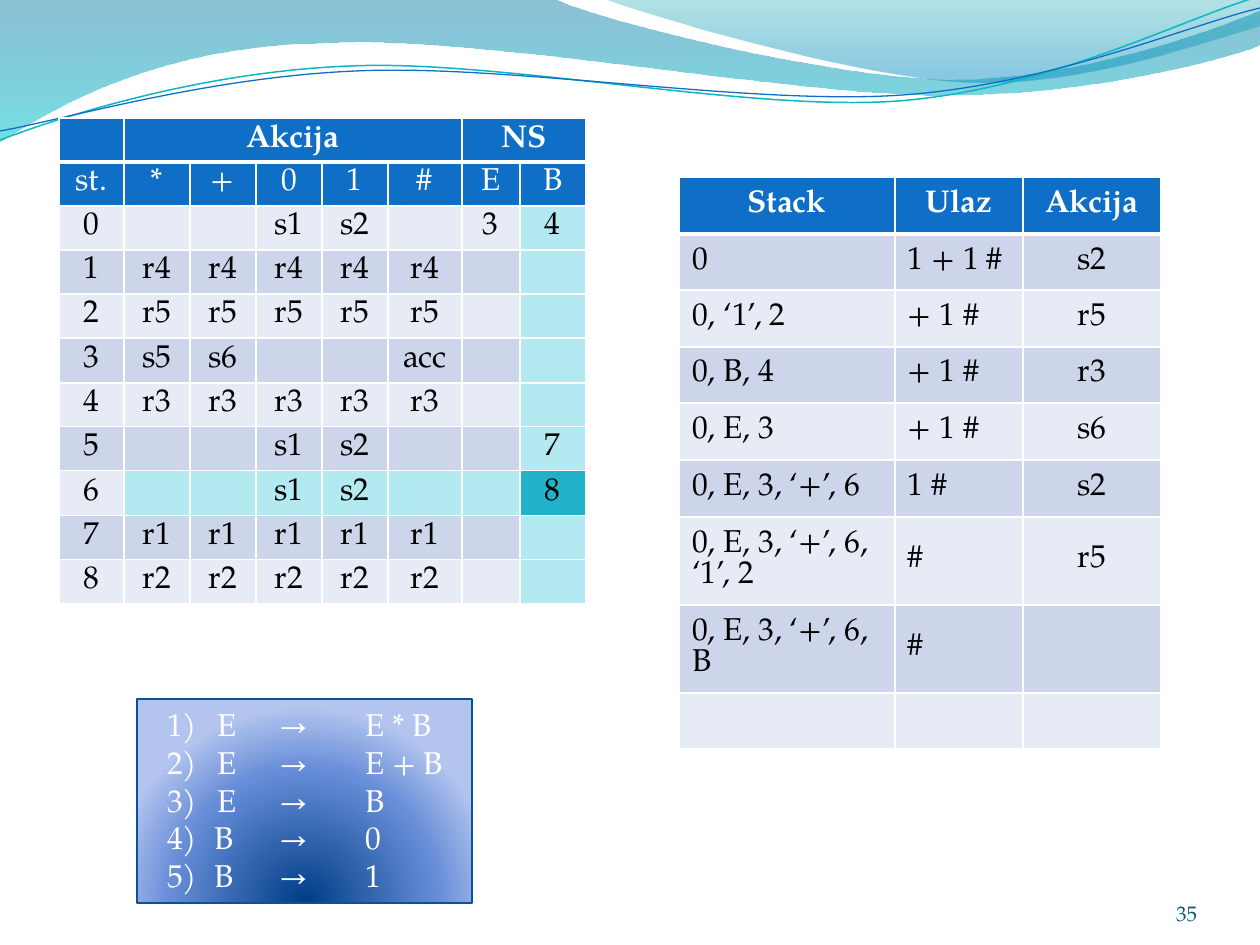
from lxml import etree
from pptx import Presentation
from pptx.dml.color import RGBColor
from pptx.enum.shapes import MSO_SHAPE
from pptx.enum.text import MSO_ANCHOR, PP_ALIGN
from pptx.oxml import parse_xml
from pptx.oxml.ns import nsdecls, qn
from pptx.util import Pt

PX = 7257.14  # EMU in one px: 126 px to the inch
FONT = "TeX Gyre Pagella"
WHITE, BLACK = RGBColor(255, 255, 255), RGBColor(0, 0, 0)
BLUE = RGBColor(0x0F, 0x6F, 0xC6)
TEAL = RGBColor(0x0A, 0xB8, 0xBF)
OUTLINE = RGBColor(0x09, 0x52, 0x95)
NUMBER = RGBColor(0x04, 0x5D, 0x75)
LIGHT, DARK = RGBColor(0xE7, 0xEB, 0xF5), RGBColor(0xCC, 0xD5, 0xEA)
MARK, TARGET = RGBColor(0xB3, 0xEA, 0xF2), RGBColor(0x21, 0xB2, 0xC9)
LEFT, CENTER, RIGHT = PP_ALIGN.LEFT, PP_ALIGN.CENTER, PP_ALIGN.RIGHT

# Outlines: a start point, then lines (one point) and curves (three points)
UPPER_WAVE = [[(0, 0)], [(554, -1)], [(600, 21), (837, 79), (955, 79)],
              [(1075, 79), (1207, 33), (1260, 11)], [(1261, 45)],
              [(1239, 55), (1096, 96), (940, 95)], [(784, 95), (481, 35), (324, 43)],
              [(163, 45), (58, 105), (-1, 142)]]
RIGHT_WAVE = [[(604, -1)], [(641, 14), (859, 78), (969, 82)],
              [(1079, 87), (1211, 40), (1260, 26)], [(1260, 0)]]
TEAL_LINE = [[(0, 140)], [(60, 117), (199, 72), (349, 66)],
             [(498, 59), (747, 112), (898, 101)], [(1050, 89), (1182, 19), (1257, -3)]]
BLUE_LINE = [[(0, 131)], [(59, 121), (207, 77), (357, 71)],
             [(508, 64), (752, 106), (903, 95)], [(1053, 84), (1186, 26), (1260, 8)]]
DOWN = '<a:lin ang="5400000" scaled="0"/>'
FROM_BELOW = ('<a:path path="circle"><a:fillToRect l="50000" t="130000" '
              'r="50000" b="-30000"/></a:path>')

PARSER_COLUMNS = [65, 66, 66, 66, 66, 74, 58, 66]
PARSER_HEIGHTS = [44, 44, 44, 44, 44, 45, 44, 44, 45, 44, 44]
PARSER_ROWS = [
    ["", "Akcija", "", "", "", "", "NS", ""],
    ["st.", "*", "+", "0", "1", "#", "E", "B"],
    ["0", "", "", "s1", "s2", "", "3", "4"],
    ["1"] + ["r4"] * 5 + ["", ""],
    ["2"] + ["r5"] * 5 + ["", ""],
    ["3", "s5", "s6", "", "", "acc", "", ""],
    ["4"] + ["r3"] * 5 + ["", ""],
    ["5", "", "", "s1", "s2", "", "", "7"],
    ["6", "", "", "s1", "s2", "", "", "8"],
    ["7"] + ["r1"] * 5 + ["", ""],
    ["8"] + ["r2"] * 5 + ["", ""],
]
MARKED_ROW, MARKED_COLUMN = 8, 7

TRACE_COLUMNS = [216, 128, 138]
TRACE_HEIGHTS = [57, 56, 57, 56, 57, 57, 88, 88, 56]
TRACE_ROWS = [
    ["Stack", "Ulaz", "Akcija"],
    ["0", "1 + 1 #", "s2"],
    ["0, ‘1’, 2", "+ 1 #", "r5"],
    ["0, B, 4", "+ 1 #", "r3"],
    ["0, E, 3", "+ 1 #", "s6"],
    ["0, E, 3, ‘+’, 6", "1 #", "s2"],
    ["0, E, 3, ‘+’, 6, ‘1’, 2", "#", "r5"],
    ["0, E, 3, ‘+’, 6, B", "#", ""],
    ["", "", ""],
]

TYPED_RULES = "1) \tE\t→\tE * B\v2) \tE\t→ \tE + B\v3) \tE\t→ \tB"
NUMBERED_RULES = ["B\t→\t0", "B\t→\t1"]
RULE_TABS = [50, 112, 198]


def px(value):
    return round(value * PX)


def write(paragraph, text, size=18, color=BLACK, bold=False, align=LEFT):
    paragraph.text = text
    paragraph.alignment = align
    for run in paragraph.runs:
        font = run.font
        font.name, font.size, font.bold = FONT, Pt(size), bold
        font.color.rgb = color


def set_gradient(shape, stops, direction):
    """Fill with (position %, colour, opacity %) stops."""
    marks = "".join(
        f'<a:gs pos="{position * 1000}"><a:srgbClr val="{color}">'
        f'<a:alpha val="{opacity * 1000}"/></a:srgbClr></a:gs>'
        for position, color, opacity in stops)
    shape.fill.background()
    no_fill = shape._element.spPr.find(qn("a:noFill"))
    no_fill.getparent().replace(no_fill, parse_xml(
        f'<a:gradFill {nsdecls("a")} rotWithShape="1"><a:gsLst>{marks}</a:gsLst>'
        f'{direction}</a:gradFill>'))


def add_outline(slide, outline, closed):
    """Build a freeform through all points, then turn each three-point segment into a curve."""
    start, *segments = outline
    builder = slide.shapes.build_freeform(*start[0], scale=PX)
    builder.add_line_segments([point for segment in segments for point in segment], close=closed)
    shape = builder.convert_to_shape()
    shape.shadow.inherit = False
    lines = iter(list(shape._element.spPr.iter(qn("a:lnTo"))))
    for segment in segments:
        first, *others = [next(lines) for point in segment]
        if others:
            first.tag = qn("a:cubicBezTo")
            for line in others:
                first.append(line[0])
                line.getparent().remove(line)
    return shape


def set_borders(cell, top, bottom):
    properties = cell._tc.get_or_add_tcPr()
    for side, width in (("L", 1), ("R", 1), ("T", top), ("B", bottom)):
        properties.append(parse_xml(
            f'<a:ln{side} {nsdecls("a")} w="{Pt(width)}"><a:solidFill>'
            f'<a:srgbClr val="{WHITE}"/></a:solidFill></a:ln{side}>'))


def add_grid(slide, left, top, rows, widths, heights, fill_of, margins, align_of, header_rows=1):
    table = slide.shapes.add_table(len(rows), len(widths), px(left), px(top),
                                   px(sum(widths)), px(sum(heights))).table
    table.first_row = table.horz_banding = False
    for column, width in zip(table.columns, widths):
        column.width = px(width)
    for row, (texts, height) in enumerate(zip(rows, heights)):
        table.rows[row].height = px(height)
        for column, text in enumerate(texts):
            cell = table.cell(row, column)
            cell.margin_left = cell.margin_right = px(margins[0])
            cell.margin_top = cell.margin_bottom = px(margins[1])
            cell.vertical_anchor = MSO_ANCHOR.MIDDLE
            set_borders(cell, 3 if row == 1 else 1, 3 if row == 0 else 1)
            cell.fill.solid()
            cell.fill.fore_color.rgb = fill_of(row, column)
            write(cell.text_frame.paragraphs[0], text, bold=row == 0,
                  color=WHITE if row < header_rows else BLACK, align=align_of(row, column))
    return table


def parser_fill(row, column):
    if row < 2:
        return BLUE
    if (row, column) == (MARKED_ROW, MARKED_COLUMN):
        return TARGET
    if column == MARKED_COLUMN or (row == MARKED_ROW and column > 0):
        return MARK
    return DARK if row % 2 else LIGHT


def trace_fill(row, column):
    return BLUE if row == 0 else DARK if row % 2 else LIGHT


def add_rules(slide):
    box = slide.shapes.add_shape(MSO_SHAPE.RECTANGLE, px(137), px(699), px(335), px(204))
    set_gradient(box, [(0, "003D87", 100), (68, "668DD7", 100), (100, "B3C4EF", 100)], FROM_BELOW)
    box.line.color.rgb, box.line.width = OUTLINE, Pt(0.75)
    box.shadow.inherit = False
    frame = box.text_frame
    frame.word_wrap = True
    frame.vertical_anchor = MSO_ANCHOR.TOP
    frame.margin_left, frame.margin_right = px(30), 0
    frame.margin_top = frame.margin_bottom = px(6)
    for index, text in enumerate([TYPED_RULES, *NUMBERED_RULES]):
        paragraph = frame.add_paragraph() if index else frame.paragraphs[0]
        properties = paragraph._p.get_or_add_pPr()
        if index:
            properties.set("marL", str(px(47)))
            properties.set("indent", str(px(-47)))
            etree.SubElement(properties, qn("a:buFont"), typeface="+mj-lt")
            etree.SubElement(properties, qn("a:buAutoNum"), type="arabicParenR", startAt="4")
        tabs = etree.SubElement(properties, qn("a:tabLst"))
        for position in RULE_TABS:
            etree.SubElement(tabs, qn("a:tab"), pos=str(px(position)), algn="l")
        write(paragraph, text, color=WHITE)


def main():
    presentation = Presentation()
    presentation.slide_width, presentation.slide_height = px(1260), px(945)
    slide = presentation.slides.add_slide(presentation.slide_layouts[6])

    for outline, stops in ((UPPER_WAVE, [(0, "0074A1", 45), (100, "00C6CF", 55)]),
                           (RIGHT_WAVE, [(0, "00A1A9", 30), (80, "008BBF", 45)])):
        wave = add_outline(slide, outline, closed=True)
        set_gradient(wave, stops, DOWN)
        wave.line.fill.background()
    for outline, color, width in ((TEAL_LINE, TEAL, 0.85), (BLUE_LINE, BLUE, 0.75)):
        curve = add_outline(slide, outline, closed=False)
        curve.fill.background()
        curve.line.color.rgb, curve.line.width = color, Pt(width)

    parser = add_grid(slide, 59, 118, PARSER_ROWS, PARSER_COLUMNS, PARSER_HEIGHTS,
                      parser_fill, (0, 0), lambda row, column: CENTER, header_rows=2)
    parser.cell(0, 1).merge(parser.cell(0, 5))
    parser.cell(0, 6).merge(parser.cell(0, 7))

    number = slide.shapes.add_textbox(px(1092), px(876), px(105), px(50)).text_frame
    number.margin_left = number.margin_right = number.margin_top = number.margin_bottom = 0
    number.word_wrap, number.vertical_anchor = True, MSO_ANCHOR.BOTTOM
    write(number.paragraphs[0], "35", size=12, color=NUMBER, align=RIGHT)

    add_rules(slide)
    add_grid(slide, 679, 177, TRACE_ROWS, TRACE_COLUMNS, TRACE_HEIGHTS, trace_fill, (13, 6),
             lambda row, column: CENTER if row == 0 or column == 2 else LEFT)
    presentation.save("out.pptx")


if __name__ == "__main__":
    main()
